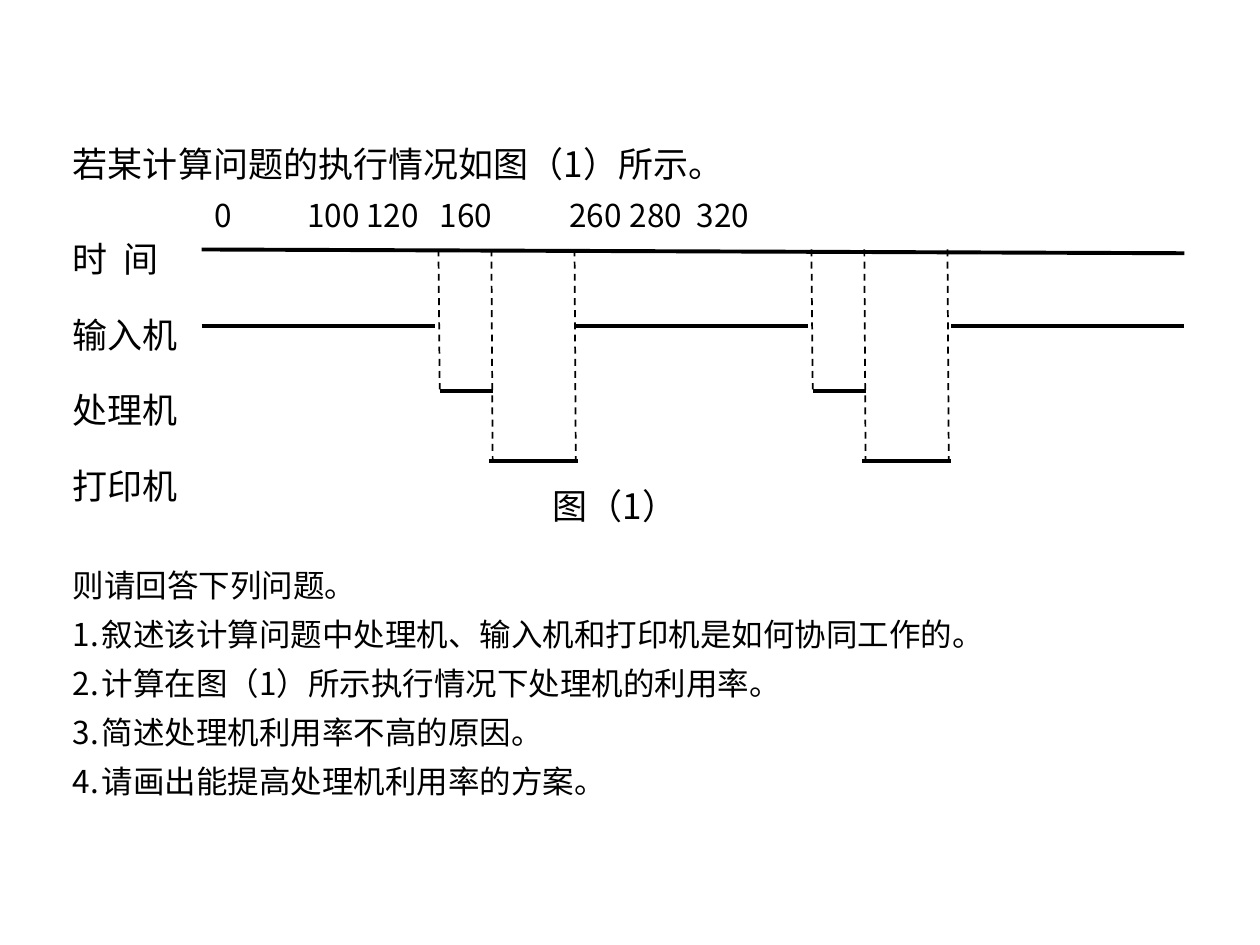
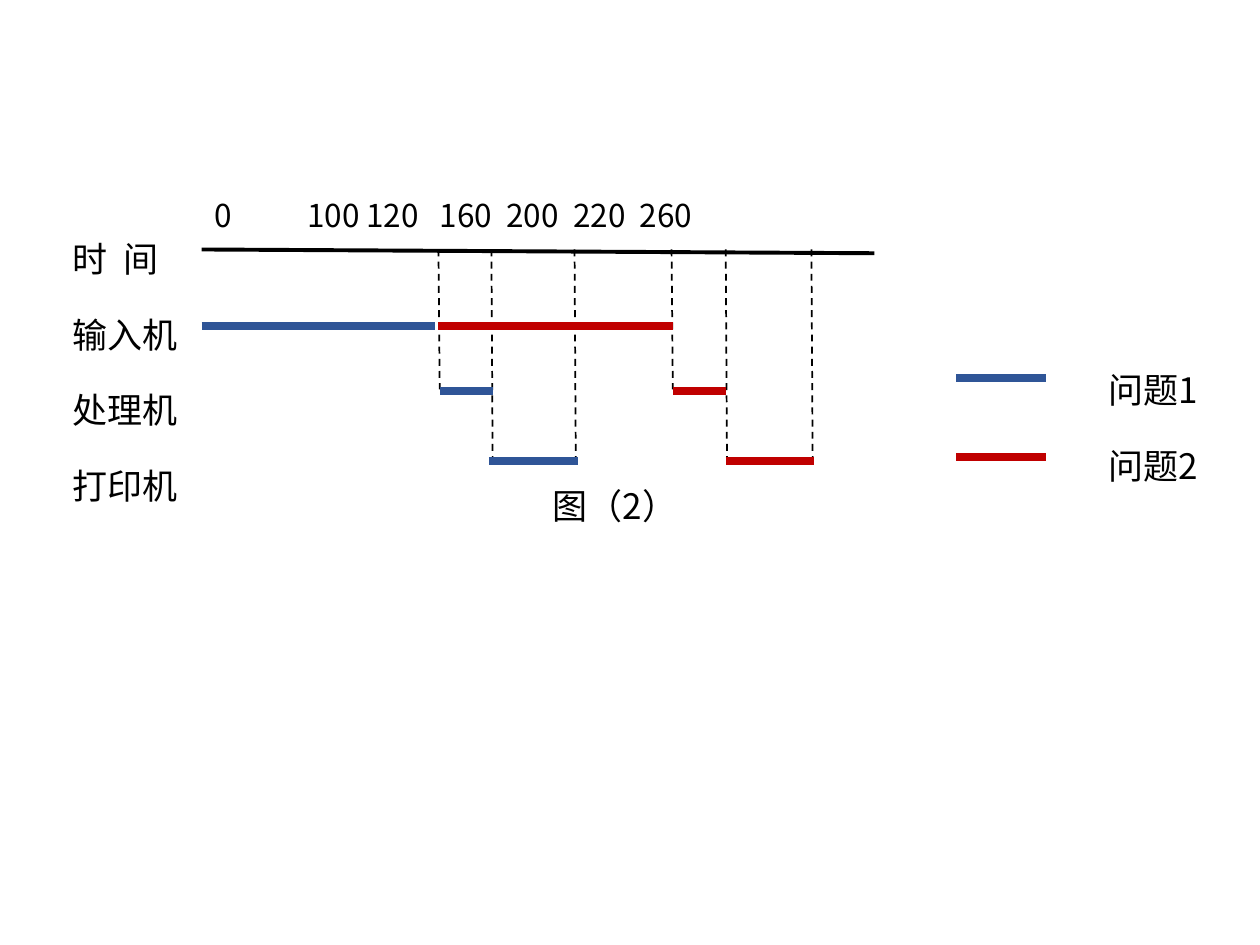
import pptx
import pptx.util
import pptx.dml.color
import pptx.enum.dml
import pptx.enum.shapes
import pptx.enum.text
from lxml import etree
from pptx.oxml.ns import qn
from pptx.util import Inches

FONT = "Noto Sans CJK SC"
BLACK, BLUE, RED = "000000", "2F5597", "C00000"
THIN, THICK, GUIDE = 2.25, 4.5, 1

# Timing diagram: heights of the rows below the top of the box
DIAGRAM_BOX = (1.6, 1.51, 7.68, 2.73)
AXIS_Y = 0.47
ROW_Y = {"input": 1.08, "processor": 1.59, "printer": 2.15}
ROW_LABELS = ["时\t间", "输入机", "处理机", "打印机"]

# One job: the span of each stage, and the guides that reach down to a stage
FIRST_JOB = {"input": (0, 1.85), "processor": (1.89, 2.31), "printer": (2.28, 2.99)}
FIRST_GUIDES = [(1.88, "processor"), (2.3, "printer"), (2.96, "printer")]
SECOND_JOB = {"input": (1.88, 3.74), "processor": (3.74, 4.16), "printer": (4.16, 4.86)}
SECOND_GUIDES = [(3.73, "processor"), (4.16, "printer"), (4.84, "printer")]
JOB_PERIOD = 2.96


def color(hex_string):
    return pptx.dml.color.RGBColor.from_string(hex_string)


def add_line(slide, start, end, width, line_color=BLACK, dashed=False):
    line = slide.shapes.add_connector(
        pptx.enum.shapes.MSO_CONNECTOR.STRAIGHT,
        *(Inches(length) for length in (*start, *end)))
    line.line.color.rgb = color(line_color)
    line.line.width = pptx.util.Pt(width)
    if dashed:
        line.line.dash_style = pptx.enum.dml.MSO_LINE.DASH
    etree.SubElement(line._element.spPr, qn("a:effectLst"))


def add_tabs(paragraph, stops):
    tab_list = etree.SubElement(paragraph._p.get_or_add_pPr(), qn("a:tabLst"))
    for stop in stops:
        etree.SubElement(tab_list, qn("a:tab"), pos=str(Inches(stop)), algn="l")


def add_number(paragraph, indent=0.23):
    properties = paragraph._p.get_or_add_pPr()
    properties.set("marL", str(Inches(indent)))
    properties.set("indent", str(-Inches(indent)))
    etree.SubElement(properties, qn("a:buFont"), typeface=FONT)
    etree.SubElement(properties, qn("a:buAutoNum"), type="arabicPeriod")


def add_text(slide, box, lines, size=20, spacing=None, centered=False, tabs=()):
    frame = slide.shapes.add_textbox(*(Inches(length) for length in box)).text_frame
    frame.word_wrap = True
    frame.auto_size = pptx.enum.text.MSO_AUTO_SIZE.SHAPE_TO_FIT_TEXT
    for index, line in enumerate(lines):
        paragraph = frame.add_paragraph() if index else frame.paragraphs[0]
        if spacing:
            paragraph.line_spacing = spacing
        if centered:
            paragraph.alignment = pptx.enum.text.PP_ALIGN.CENTER
        if "\t" in line:
            add_tabs(paragraph, tabs)
        run = paragraph.add_run()
        run.text = line
        run.font.size = pptx.util.Pt(size)
        run.font.color.rgb = color(BLACK)
        run.font.name = FONT
        etree.SubElement(run._r.get_or_add_rPr(), qn("a:ea"), typeface=FONT)
    return frame.paragraphs


def add_diagram(slide, box, caption, times, axis_length):
    """Row labels, time scale, axis and caption."""
    left, top, width, height = box
    add_text(slide, (left - 1.12, top + 0.06, 1.16, 2.5), ROW_LABELS,
             spacing=1.8, tabs=[0.4])
    scale = "\t".join(["0", *(str(time) for time in times)])
    add_text(slide, (left, top, width, 0.4), [scale], size=18, tabs=times.values())
    add_line(slide, (left, top + AXIS_Y),
             (left + axis_length, top + AXIS_Y + 0.03), THIN)
    add_text(slide, (left - 1.12, top + height - 0.44, width + 1.12, 0.44),
             [caption], centered=True)


def add_job(slide, box, stages, guides=(), shift=0, width=THIN, line_color=BLACK):
    left, top = box[0] + shift, box[1]
    for x, stage in guides:
        add_line(slide, (left + x, top + AXIS_Y),
                 (left + x + 0.01, top + ROW_Y[stage] - 0.01), GUIDE, dashed=True)
    for stage, (start, end) in stages.items():
        y = top + ROW_Y[stage]
        add_line(slide, (left + start, y), (left + end, y), width, line_color)


def add_questions(slide, box):
    paragraphs = add_text(slide, box, [
        "则请回答下列问题。",
        "叙述该计算问题中处理机、输入机和打印机是如何协同工作的。",
        "计算在图（1）所示执行情况下处理机的利用率。",
        "简述处理机利用率不高的原因。",
        "请画出能提高处理机利用率的方案。",
    ], size=18, spacing=1.3)
    for question in paragraphs[1:]:
        add_number(question)


def add_legend(slide, box):
    left, top, width, height = box
    for index, job_color in enumerate((BLUE, RED)):
        y = top + 0.39 + 0.63 * index
        add_line(slide, (left, y), (left + 0.71, y), THICK, job_color)
    add_text(slide, (left + width - 1.16, top, 1.16, height),
             ["问题1", "问题2"], spacing=1.8)


def build_sequential_slide(slide):
    add_text(slide, (0.48, 1.08, 7.69, 0.44), ["若某计算问题的执行情况如图（1）所示。"])
    add_diagram(slide, DIAGRAM_BOX, "图（1）", axis_length=7.8,
                times={100: 0.74, 120: 1.21, 160: 1.79, 260: 2.82, 280: 3.3, 320: 3.83})
    for shift in (0, JOB_PERIOD):
        add_job(slide, DIAGRAM_BOX, FIRST_JOB, FIRST_GUIDES, shift)
    # The third job only starts its input
    add_job(slide, DIAGRAM_BOX, {"input": FIRST_JOB["input"]}, shift=5.95)
    add_questions(slide, (0.48, 4.35, 8.92, 2.05))


def build_overlapped_slide(slide):
    add_diagram(slide, DIAGRAM_BOX, "图（2）", axis_length=5.34,
                times={100: 0.74, 120: 1.21, 160: 1.79, 200: 2.32, 220: 2.85, 260: 3.38})
    add_job(slide, DIAGRAM_BOX, FIRST_JOB, FIRST_GUIDES, width=THICK, line_color=BLUE)
    add_job(slide, DIAGRAM_BOX, SECOND_JOB, SECOND_GUIDES, width=THICK, line_color=RED)
    add_legend(slide, (7.59, 2.61, 2.27, 1.3))


def main():
    deck = pptx.Presentation()
    deck.slide_width, deck.slide_height = Inches(10), Inches(7.5)
    blank_layout = deck.slide_layouts[6]
    for build in (build_sequential_slide, build_overlapped_slide):
        build(deck.slides.add_slide(blank_layout))
    deck.save("out.pptx")


if __name__ == "__main__":
    main()
